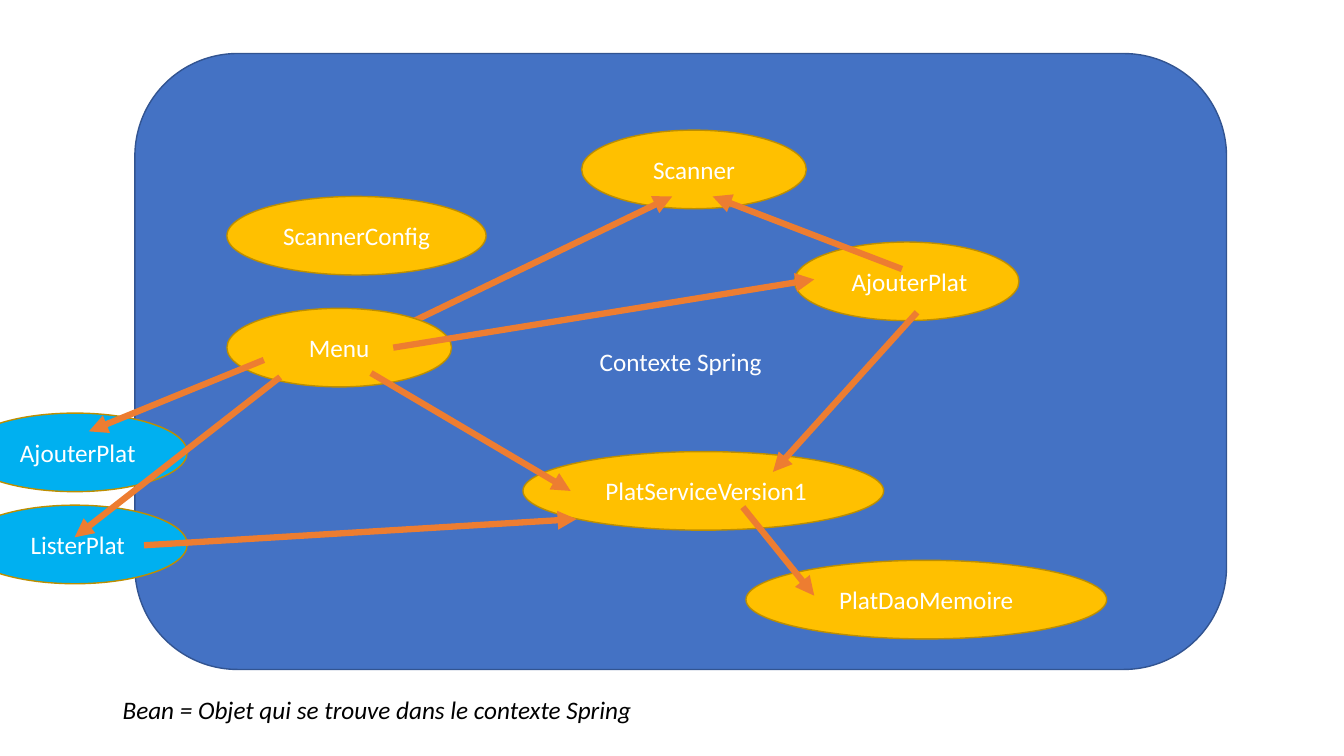
import dataclasses

import pptx
import pptx.dml.color
import pptx.enum.shapes
import pptx.enum.text
import pptx.oxml
import pptx.oxml.ns
import pptx.util

Cm = pptx.util.Cm
SHAPES = pptx.enum.shapes.MSO_SHAPE
ALIGN = pptx.enum.text.PP_ALIGN
ANCHOR = pptx.enum.text.MSO_ANCHOR


@dataclasses.dataclass(frozen=True)
class Theme:
    """Colours, type and line sizes of the slide."""
    font: str = "Calibri"
    text_size: int = 18
    light_text: str = "FFFFFF"
    dark_text: str = "000000"
    context: str = "4472C4"
    context_edge: str = "325491"
    bean: str = "FFC000"
    plain_object: str = "00B0F0"
    object_edge: str = "BD8E00"
    arrow: str = "ED7D31"
    edge_width: float = 1
    arrow_width: float = 4.5


THEME = Theme()
SLIDE_SIZE = (33.87, 19.05)
CONTEXT = ("Contexte Spring", (3.4, 1.35, 27.51, 15.52))
CAPTION = ("Bean = Objet qui se trouve dans le contexte Spring",
           (2.84, 17.37, 13.61, 1.02))
OBJECT_HEIGHT = 1.98
NARROW, MEDIUM, WIDE = 5.66, 6.53, 9.09

# Objects: label, left, top, width, fill. Lengths are centimetres.
SCANNER = ("Scanner", 14.66, 3.28, NARROW, THEME.bean)
OTHER_OBJECTS = [
    ("ScannerConfig", 5.72, 4.95, MEDIUM, THEME.bean),
    ("Menu", 5.72, 7.77, NARROW, THEME.bean),
    (" AjouterPlat", 20.02, 6.1, NARROW, THEME.bean),
    (" PlatServiceVersion1", 13.18, 11.38, WIDE, THEME.bean),
    ("PlatDaoMemoire", 18.8, 14.12, WIDE, THEME.bean),
    (" AjouterPlat", -0.94, 10.41, NARROW, THEME.plain_object),
    (" ListerPlat", -0.94, 12.73, NARROW, THEME.plain_object),
]

# Arrows: start x, start y, end x, end y.
MENU_TO_SCANNER = (9.04, 8.76, 16.94, 4.95)  # starts behind Menu
OTHER_ARROWS = [
    (22.73, 6.78, 17.96, 4.95),   # AjouterPlat to Scanner
    (23.11, 7.87, 19.48, 11.89),  # AjouterPlat to PlatServiceVersion1
    (9.35, 9.4, 14.38, 12.37),    # Menu to PlatServiceVersion1
    (18.72, 12.78, 20.52, 15.01),  # PlatServiceVersion1 to PlatDaoMemoire
    (6.65, 9.07, 2.24, 10.87),    # Menu to plain AjouterPlat
    (7.06, 9.5, 1.88, 13.54),     # Menu to plain ListerPlat
    (3.63, 13.74, 14.53, 13.08),  # ListerPlat to PlatServiceVersion1
    (9.91, 8.76, 20.52, 7.04),    # Menu to AjouterPlat
]


def rgb(value):
    """Turn a hex string into a colour."""
    return pptx.dml.color.RGBColor.from_string(value)


def set_attributes(target, values):
    """Set each named attribute of the target."""
    for name, value in values.items():
        setattr(target, name, value)


def write_text(shape, text, color, align, anchor, wrap=True, italic=False):
    """Write one formatted paragraph into a shape."""
    frame = shape.text_frame
    set_attributes(frame, {"word_wrap": wrap, "vertical_anchor": anchor})
    paragraph = frame.paragraphs[0]
    paragraph.alignment = align
    run = paragraph.add_run()
    run.text = text
    set_attributes(run.font, {"name": THEME.font, "italic": italic,
                              "size": pptx.util.Pt(THEME.text_size)})
    run.font.color.rgb = rgb(color)


def add_labelled_shape(slide, kind, text, box, fill, edge):
    """Add a filled, outlined shape with a centred label."""
    shape = slide.shapes.add_shape(kind, *map(Cm, box))
    shape.shadow.inherit = False
    shape.fill.solid()
    shape.fill.fore_color.rgb = rgb(fill)
    shape.line.color.rgb = rgb(edge)
    shape.line.width = pptx.util.Pt(THEME.edge_width)
    write_text(shape, text, THEME.light_text, ALIGN.CENTER, ANCHOR.MIDDLE)


def add_object(slide, label, left, top, width, fill):
    """Add the ellipse of one object."""
    add_labelled_shape(slide, SHAPES.OVAL, label,
                       (left, top, width, OBJECT_HEIGHT), fill,
                       THEME.object_edge)


def add_arrow(slide, *ends):
    """Add a straight arrow between two points."""
    connector = slide.shapes.add_connector(
        pptx.enum.shapes.MSO_CONNECTOR.STRAIGHT, *map(Cm, ends))
    connector.line.color.rgb = rgb(THEME.arrow)
    connector.line.width = pptx.util.Pt(THEME.arrow_width)
    namespace = pptx.oxml.ns.nsdecls("a")
    connector.line._get_or_add_ln().append(
        pptx.oxml.parse_xml(f'<a:tailEnd {namespace} type="triangle"/>'))
    connector._element.spPr.append(
        pptx.oxml.parse_xml(f"<a:effectLst {namespace}/>"))


def add_caption(slide, text, box):
    """Add the definition below the context."""
    caption = slide.shapes.add_textbox(*map(Cm, box))
    write_text(caption, text, THEME.dark_text, ALIGN.LEFT, ANCHOR.TOP,
               wrap=False, italic=True)
    caption.text_frame.auto_size = (
        pptx.enum.text.MSO_AUTO_SIZE.SHAPE_TO_FIT_TEXT)


def main():
    """Build and save the slide."""
    presentation = pptx.Presentation()
    width, height = map(Cm, SLIDE_SIZE)
    set_attributes(presentation, {"slide_width": width,
                                  "slide_height": height})
    slide = presentation.slides.add_slide(presentation.slide_layouts[6])
    add_labelled_shape(slide, SHAPES.ROUNDED_RECTANGLE, *CONTEXT,
                       THEME.context, THEME.context_edge)
    add_caption(slide, *CAPTION)
    add_object(slide, *SCANNER)
    add_arrow(slide, *MENU_TO_SCANNER)
    for item in OTHER_OBJECTS:
        add_object(slide, *item)
    for ends in OTHER_ARROWS:
        add_arrow(slide, *ends)
    presentation.save("out.pptx")


main()
